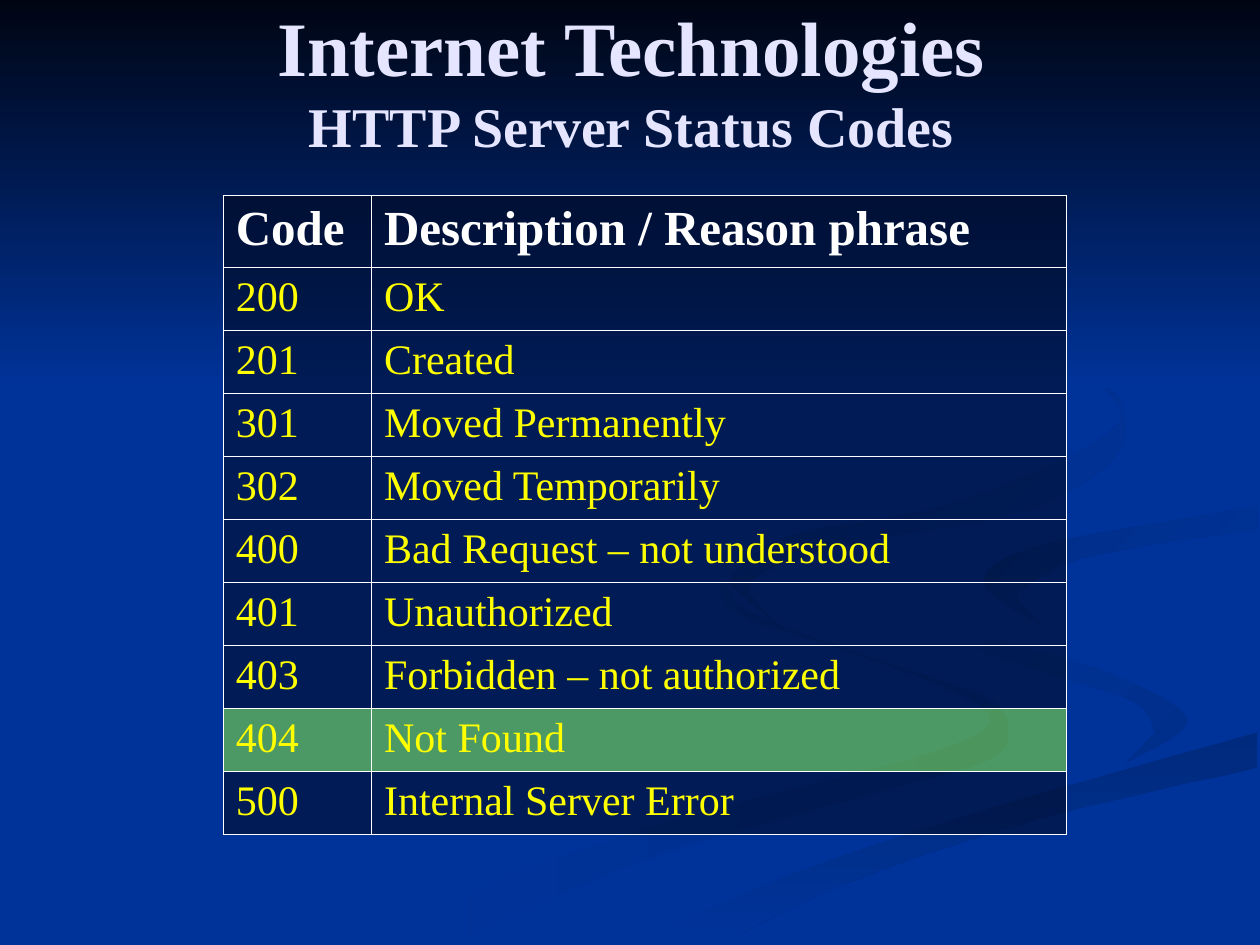
from lxml import etree
from pptx import Presentation
from pptx.dml.color import RGBColor
from pptx.enum.text import MSO_ANCHOR, PP_ALIGN
from pptx.oxml.ns import qn
from pptx.util import Cm, Pt

MIDDLE = MSO_ANCHOR.MIDDLE
CENTER = PP_ALIGN.CENTER
FONT = "Times New Roman"
BLUE, NIGHT, WHITE, YELLOW, LAVENDER, GREEN = (
    "003399", "000514", "FFFFFF", "FFFF00", "E5E5FF", "99FF33")
UNIT = Cm(2.54) / 100  # ribbon points are in hundredths of an inch
STEPS = 5  # line segments between two ribbon points

# Edges shared by neighbouring ribbons
TAIL_TOP = [(503, 749), (630, 693), (797, 638), (998, 581)]
HOOK = [(998, 402), (822, 434), (781, 463), (826, 496)]

# Background ribbons: start colour, end colour, gradient angle, smooth edges
RIBBONS = [
    (BLUE, "002E8B", 0, [
        [(575, 459), (594, 485), (682, 519), (781, 553), (800, 581),
         (780, 605), (676, 634), (499, 687), (361, 749)],
        [(300, 749), (417, 690), (579, 639), (739, 598), (785, 566),
         (697, 525), (593, 491), (570, 468)]]),
    (BLUE, "002E8B", 45, [
        [(724, 464), (758, 498), (870, 530), (943, 570), (894, 605)],
        [(917, 581), (900, 557), (838, 536), (755, 505), (724, 464)]]),
    ("002A7D", BLUE, 90, [
        TAIL_TOP, [(998, 609), (821, 651), (670, 702), (571, 749)]]),
    (BLUE, BLUE, 0, [
        [(998, 387), (874, 408), (755, 432), (725, 464), (759, 498),
         (871, 530), (943, 570), (902, 603), (743, 643), (573, 703), (477, 749)],
        TAIL_TOP, [(998, 538), (866, 509), (794, 480)], HOOK[2::-1]]),
    ("002D86", BLUE, 45, [HOOK, [(805, 472), (859, 443), (998, 420)]]),
    ("002B82", BLUE, 45, [
        [(762, 233), (843, 275), (894, 344), (825, 402), (683, 430),
         (596, 461), (622, 500)],
        [(577, 462), (625, 426), (763, 398), (889, 335), (846, 279)]]),
    (NIGHT, BLUE, 90, [[(0, 0), (1000, 0)], [(1000, 308), (0, 308)]]),
]

ROWS = [
    ("Code", "Description / Reason phrase"),
    ("200", "OK"),
    ("201", "Created"),
    ("301", "Moved Permanently"),
    ("302", "Moved Temporarily"),
    ("400", "Bad Request – not understood"),
    ("401", "Unauthorized"),
    ("403", "Forbidden – not authorized"),
    ("404", "Not Found"),
    ("500", "Internal Server Error"),
]
HIGHLIGHTED_CODE = "404"


def rgb(color):
    return RGBColor.from_string(color)


def format_run(r, size, color, bold):
    r.font.name = FONT
    r.font.size = Pt(size)
    r.font.bold = bold
    r.font.color.rgb = rgb(color)


def smooth(edge):
    """Return points on a Catmull-Rom curve through the points of an edge."""
    if len(edge) == 2:
        return edge
    padded = [edge[0], *edge, edge[-1]]
    curve = []
    for a, b, c, d in zip(padded, padded[1:], padded[2:], padded[3:]):
        for step in range(STEPS):
            t = step / STEPS
            curve.append(tuple(
                (2 * q + (r - p) * t + (2 * p - 5 * q + 4 * r - s) * t ** 2
                 + (3 * q - p - 3 * r + s) * t ** 3) / 2
                for p, q, r, s in zip(a, b, c, d)))
    return curve + [edge[-1]]


def add_ribbon(s, start, end, angle, edges):
    points = [point for edge in edges for point in smooth(edge)]
    builder = s.shapes.build_freeform(*points[0], scale=UNIT)
    builder.add_line_segments(points[1:], close=True)
    sp = builder.convert_to_shape()
    sp.shadow.inherit = False
    sp.line.fill.background()
    if start == end:
        sp.fill.solid()
        sp.fill.fore_color.rgb = rgb(start)
        return
    sp.fill.gradient()
    sp.fill.gradient_angle = (360 - angle) % 360  # counter-clockwise
    for stop, color, position in zip(sp.fill.gradient_stops, (start, end), (0, 1)):
        stop.color.rgb = rgb(color)
        stop.position = position


def add_title(s, title, subtitle):
    sp = s.shapes.add_textbox(Cm(1.3), Cm(0), Cm(22.86), Cm(3.18))
    tf = sp.text_frame
    tf.word_wrap = True
    tf.vertical_anchor = MIDDLE
    p = tf.paragraphs[0]
    p.text = f"{title}\v{subtitle}"
    p.alignment = CENTER
    for r, size in zip(p.runs, (44, 32)):
        format_run(r, size, LAVENDER, True)


def style_cell(cell, color):
    # Half-transparent fill
    cell.fill.solid()
    cell.fill.fore_color.rgb = rgb(color)
    tc_pr = cell._tc.get_or_add_tcPr()
    etree.SubElement(tc_pr.find(".//" + qn("a:srgbClr")), qn("a:alpha"), val="50000")
    # Thin white borders, which come before the fill
    for i, side in enumerate(("lnL", "lnR", "lnT", "lnB")):
        ln = etree.Element(qn(f"a:{side}"), w=str(Pt(0.45)))
        line_fill = etree.SubElement(ln, qn("a:solidFill"))
        etree.SubElement(line_fill, qn("a:srgbClr"), val=WHITE)
        tc_pr.insert(i, ln)


def add_status_table(s, rows):
    frame = s.shapes.add_table(len(rows), 2, Cm(4.5), Cm(3.94), Cm(17), Cm(12.88))
    table = frame.table
    table.first_row = table.horz_banding = False
    for column, width in zip(table.columns, (2.99, 14.01)):
        column.width = Cm(width)
    for i, texts in enumerate(rows):
        header = i == 0
        table.rows[i].height = Cm(1.45 if header else 1.27)
        fill = GREEN if texts[0] == HIGHLIGHTED_CODE else NIGHT
        size, color = (28, WHITE) if header else (24, YELLOW)
        for j, text in enumerate(texts):
            cell = table.cell(i, j)
            cell.text = text
            format_run(cell.text_frame.paragraphs[0].runs[0], size, color, header)
            style_cell(cell, fill)


def main():
    prs = Presentation()
    prs.slide_width, prs.slide_height = Cm(25.4), Cm(19.05)
    s = prs.slides.add_slide(prs.slide_layouts[6])

    # Background
    s.background.fill.solid()
    s.background.fill.fore_color.rgb = rgb(BLUE)
    for ribbon in RIBBONS:
        add_ribbon(s, *ribbon)

    # Content
    add_title(s, "Internet Technologies", "HTTP Server Status Codes")
    add_status_table(s, ROWS)
    prs.save("out.pptx")


if __name__ == "__main__":
    main()
